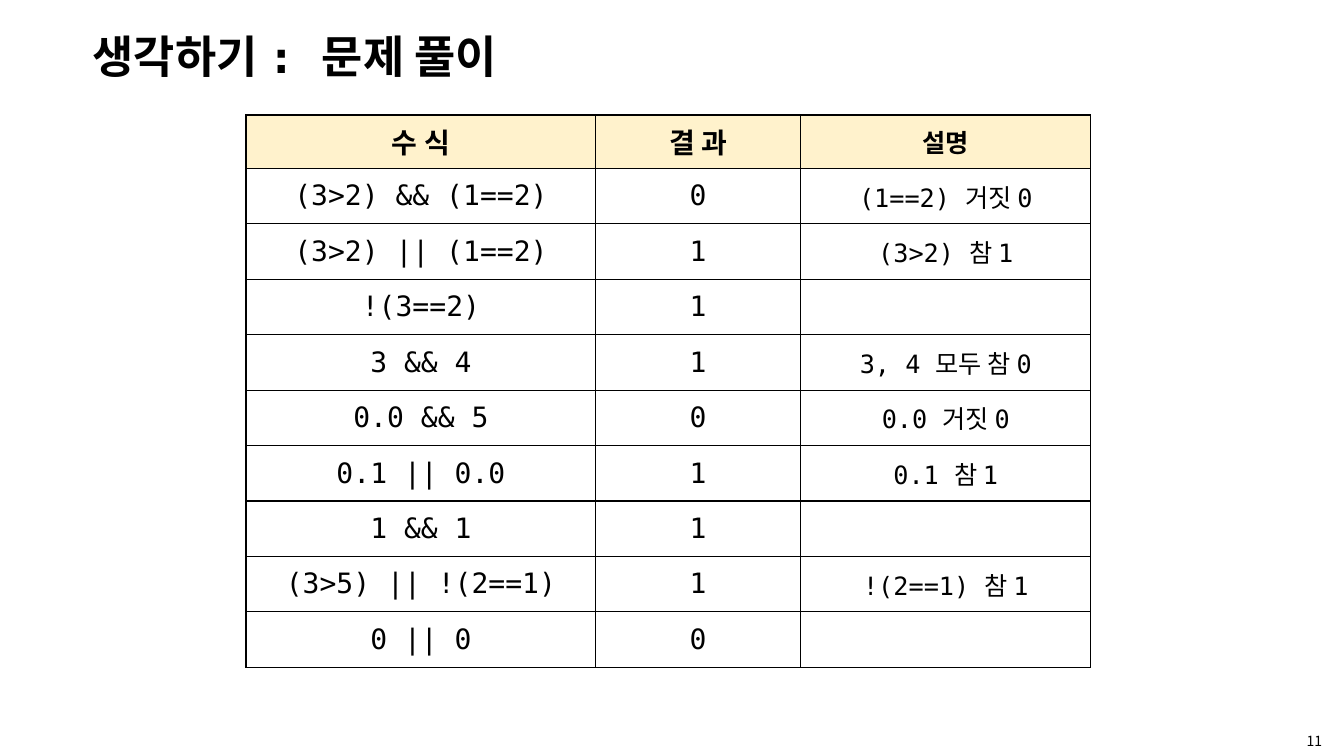
"""Builds a slide with a table of logical expressions, results and explanations."""
from dataclasses import dataclass

from lxml import etree
from pptx import Presentation
from pptx import util as u
from pptx.dml.color import RGBColor
from pptx.enum import text
from pptx.oxml import ns

TITLE = "생각하기 : 문제 풀이"
PAGE_NUMBER = "11"
HEADINGS = ("수 식", "결 과", "설명")
ANSWERS = [
    ("(3>2) && (1==2)", "0", "(1==2) 거짓 0"),
    ("(3>2) || (1==2)", "1", "(3>2) 참 1"),
    ("!(3==2)", "1", ""),
    ("3 && 4", "1", "3, 4 모두 참 0"),
    ("0.0 && 5", "0", "0.0 거짓 0"),
    ("0.1 || 0.0", "1", "0.1 참 1"),
    ("1 && 1", "1", ""),
    ("(3>5) || !(2==1)", "1", "!(2==1) 참 1"),
    ("0 || 0", "0", ""),
]
TITLE_BOX = (0.82, 0.23, 11.82, 0.71)
NUMBER_BOX = (12.53, 7.23, 1.01, 0.25)
TABLE_CORNER = (2.44, 1.14)
COLUMN_WIDTHS = (3.47, 2.03, 2.88)
HEADING_HEIGHT, ANSWER_HEIGHT = 0.53, 0.55


@dataclass(frozen=True)
class Theme:
    """Colours, fonts and type sizes."""
    ink: str = "000000"
    paper: str = "FFFFFF"
    heading_fill: str = "FFF2CC"
    mono: str = "DejaVu Sans Mono"
    korean: str = "Noto Sans CJK KR"
    title_size: int = 32
    number_size: int = 10
    column_sizes: tuple = (20, 20, 18)
    border_width: int = 1


THEME = Theme()


def add_span(para, words, size, latin, bold=False):
    span = para.add_run()
    span.text = words
    font = span.font
    font.size, font.bold, font.name = u.Pt(size), bold, latin
    font.color.rgb = RGBColor.from_string(THEME.ink)
    east_asian = etree.SubElement(span._r.get_or_add_rPr(), ns.qn("a:ea"))
    east_asian.set("typeface", THEME.korean)


def add_label(page, place, words, size, latin, bold=False):
    box = page.shapes.add_textbox(*map(u.Inches, place))
    box.text_frame.word_wrap = True
    box.text_frame.vertical_anchor = text.MSO_ANCHOR.MIDDLE
    para = box.text_frame.paragraphs[0]
    add_span(para, words, size, latin, bold)
    return para


def add_borders(cell):
    properties = cell._tc.get_or_add_tcPr()
    for side in ("lnL", "lnR", "lnT", "lnB"):
        line = etree.SubElement(properties, ns.qn(f"a:{side}"), w=str(u.Pt(THEME.border_width)))
        fill = etree.SubElement(line, ns.qn("a:solidFill"))
        etree.SubElement(fill, ns.qn("a:srgbClr"), val=THEME.ink)


def fill_cell(cell, words, size, fill, bold):
    cell.vertical_anchor = text.MSO_ANCHOR.MIDDLE
    add_borders(cell)
    cell.fill.solid()
    cell.fill.fore_color.rgb = RGBColor.from_string(fill)
    para = cell.text_frame.paragraphs[0]
    para.alignment = text.PP_ALIGN.CENTER
    if words:
        add_span(para, words, size, THEME.mono, bold)


def add_answer_table(page):
    rows = [HEADINGS, *ANSWERS]
    heights = [HEADING_HEIGHT] + [ANSWER_HEIGHT] * len(ANSWERS)
    place = (*TABLE_CORNER, sum(COLUMN_WIDTHS), sum(heights))
    table = page.shapes.add_table(len(rows), len(HEADINGS), *map(u.Inches, place)).table
    for column, width in zip(table.columns, COLUMN_WIDTHS):
        column.width = u.Inches(width)
    for index, (row, height, entries) in enumerate(zip(table.rows, heights, rows)):
        row.height = u.Inches(height)
        heading = index == 0
        fill = THEME.heading_fill if heading else THEME.paper
        for cell, words, size in zip(row.cells, entries, THEME.column_sizes):
            fill_cell(cell, words, size, fill, heading)


def main():
    deck = Presentation()
    deck.slide_width, deck.slide_height = u.Inches(13.33), u.Inches(7.5)
    page = deck.slides.add_slide(deck.slide_layouts[6])
    title = add_label(page, TITLE_BOX, TITLE, THEME.title_size, THEME.mono, bold=True)
    title.line_spacing = 0.9
    number = add_label(page, NUMBER_BOX, PAGE_NUMBER, THEME.number_size, THEME.korean)
    number.alignment = text.PP_ALIGN.CENTER
    add_answer_table(page)
    deck.save("out.pptx")


if __name__ == "__main__":
    main()
